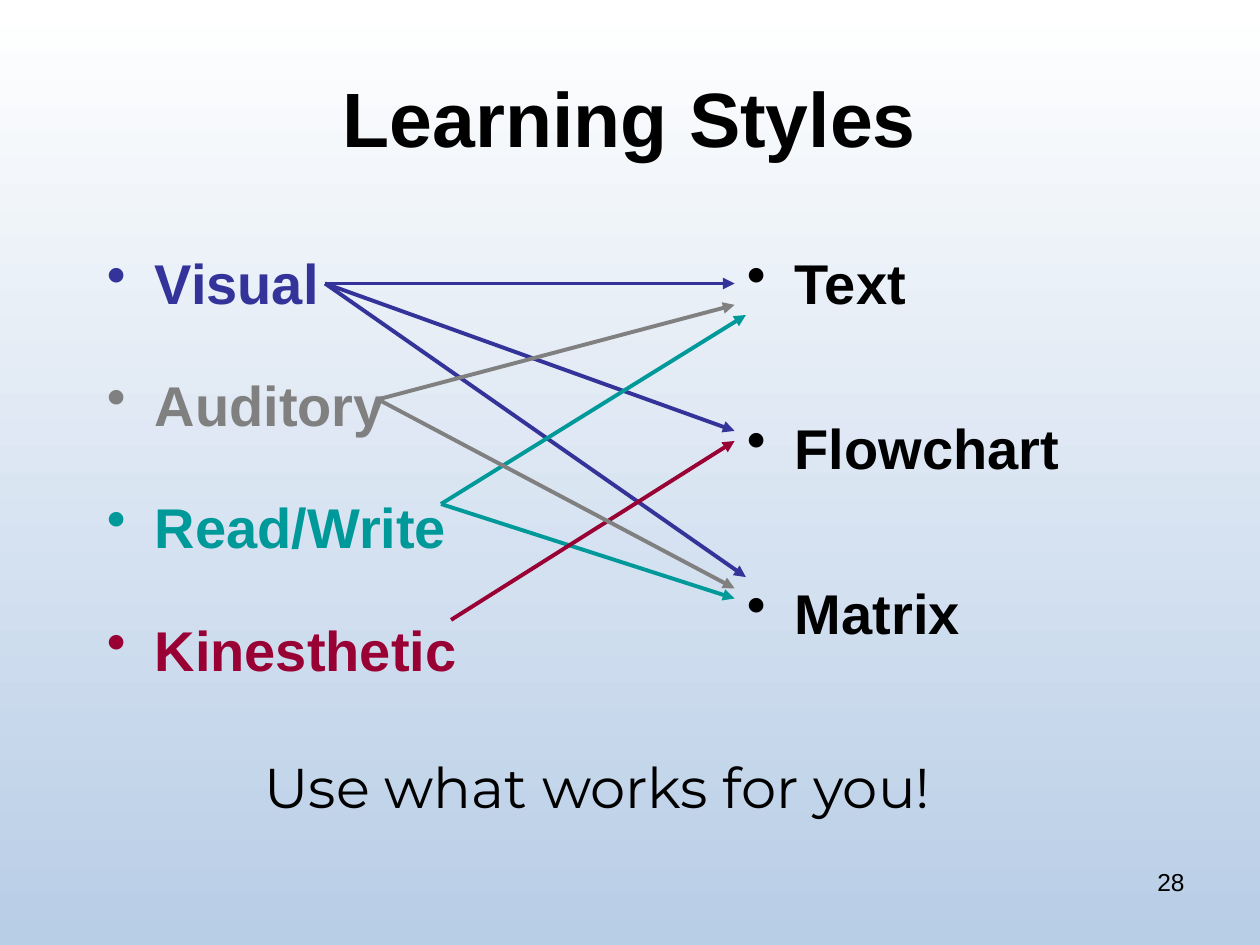
import pptx
import pptx.dml.color
import pptx.enum.shapes
import pptx.enum.text
import pptx.oxml
import pptx.oxml.ns
import pptx.util
from lxml import etree

Inches = pptx.util.Inches
Pt = pptx.util.Pt
RGBColor = pptx.dml.color.RGBColor
Align = pptx.enum.text.PP_ALIGN
Anchor = pptx.enum.text.MSO_ANCHOR
qn = pptx.oxml.ns.qn

BLACK = RGBColor(0x00, 0x00, 0x00)
WHITE = RGBColor(0xFF, 0xFF, 0xFF)
SKY = RGBColor(0xB8, 0xCD, 0xE6)
BLUE = RGBColor(0x00, 0x00, 0xFF)
INDIGO = RGBColor(0x33, 0x33, 0x99)
GRAY = RGBColor(0x80, 0x80, 0x80)
TEAL = RGBColor(0x00, 0x99, 0x99)
CRIMSON = RGBColor(0x99, 0x00, 0x33)


class StyledSlide:
    body_font = "Arial"
    motto_font = "Montserrat"
    body_size = 32
    hanging = Inches(0.38)
    arrow_width = Pt(2.25)

    def __init__(self, slide):
        self.slide = slide

    def background(self, top, bottom):
        fill = self.slide.background.fill
        fill.gradient()
        fill.gradient_angle = 270
        for stop, color, position in zip(fill.gradient_stops, (top, bottom), (0, 1)):
            stop.color.rgb = color
            stop.position = position

    def frame(self, left, top, width, height, wrap=True):
        box = self.slide.shapes.add_textbox(
            Inches(left), Inches(top), Inches(width), Inches(height))
        box.text_frame.word_wrap = wrap
        return box.text_frame

    def style(self, font, size, color, bold=False):
        font.name = self.body_font
        font.size = Pt(size)
        font.bold = bold
        font.color.rgb = color

    def label(self, text, place, size, align, bold=False, anchor=Anchor.TOP):
        frame = self.frame(*place)
        frame.vertical_anchor = anchor
        paragraph = frame.paragraphs[0]
        paragraph.text = text
        paragraph.alignment = align
        self.style(paragraph.font, size, BLACK, bold)

    def bullets(self, items, place, gap):
        frame = self.frame(*place)
        for index, (text, color) in enumerate(items):
            paragraph = frame.add_paragraph() if index else frame.paragraphs[0]
            paragraph.text = text
            if index:
                paragraph.space_before = Pt(gap)
            properties = paragraph._p.get_or_add_pPr()
            properties.set("marL", str(self.hanging))
            properties.set("indent", str(-self.hanging))
            bullet_color = etree.SubElement(properties, qn("a:buClr"))
            etree.SubElement(bullet_color, qn("a:srgbClr"), val=str(color))
            etree.SubElement(properties, qn("a:buChar"), char="•")
            self.style(paragraph.font, self.body_size, color, bold=True)

    def motto(self, text, place):
        run = self.frame(*place, wrap=False).paragraphs[0].add_run()
        run.text = text
        run.font.name = self.motto_font
        run.font.size = Pt(self.body_size)
        run.font.color.rgb = BLUE
        properties = run._r.get_or_add_rPr()
        tint = properties.find(".//" + qn("a:srgbClr"))
        etree.SubElement(tint, qn("a:alpha"), val="50000")
        outline = pptx.oxml.parse_xml(
            f'<a:ln {pptx.oxml.ns.nsdecls("a")} w="12700"><a:solidFill>'
            f'<a:srgbClr val="{BLACK}"/></a:solidFill></a:ln>')
        properties.insert(0, outline)

    def arrow(self, start, end, color):
        points = [Inches(value) for value in (*start, *end)]
        connector = self.slide.shapes.add_connector(
            pptx.enum.shapes.MSO_CONNECTOR.STRAIGHT, *points)
        connector.line.width = self.arrow_width
        connector.line.color.rgb = color
        properties = connector._element.spPr
        etree.SubElement(properties.find(qn("a:ln")), qn("a:tailEnd"), type="triangle")
        etree.SubElement(properties, qn("a:effectLst"))


def main():
    deck = pptx.Presentation()
    deck.slide_width, deck.slide_height = Inches(10), Inches(7.5)
    page = StyledSlide(deck.slides.add_slide(deck.slide_layouts[6]))
    page.background(WHITE, SKY)
    page.label("Learning Styles", (0.5, 0.3, 9, 1.25), 44, Align.CENTER,
               bold=True, anchor=Anchor.MIDDLE)

    formats = [(name, BLACK) for name in ("Text", "Flowchart", "Matrix")]
    page.bullets(formats, (5.83, 1.92, 3.67, 4.82), gap=56)
    page.motto("Use what works for you!", (2, 5.92, 5.96, 0.63))
    senses = [("Visual", INDIGO), ("Auditory", GRAY),
              ("Read/Write", TEAL), ("Kinesthetic", CRIMSON)]
    page.bullets(senses, (0.75, 1.92, 3.67, 4.82), gap=31.5)

    links = [
        (INDIGO, (2.58, 2.25), [(5.83, 2.25), (5.92, 4.58), (5.83, 3.42)]),
        (TEAL, (3.5, 4), [(5.92, 2.5), (5.83, 4.75)]),
        (CRIMSON, (3.58, 4.92), [(5.83, 3.5)]),
        (GRAY, (3, 3.17), [(5.83, 2.42), (5.83, 4.67)]),
    ]
    for color, start, ends in links:
        for end in ends:
            page.arrow(start, end, color)

    page.label("28", (7.17, 6.83, 2.33, 0.52), 14, Align.RIGHT)
    deck.save("out.pptx")


if __name__ == "__main__":
    main()
